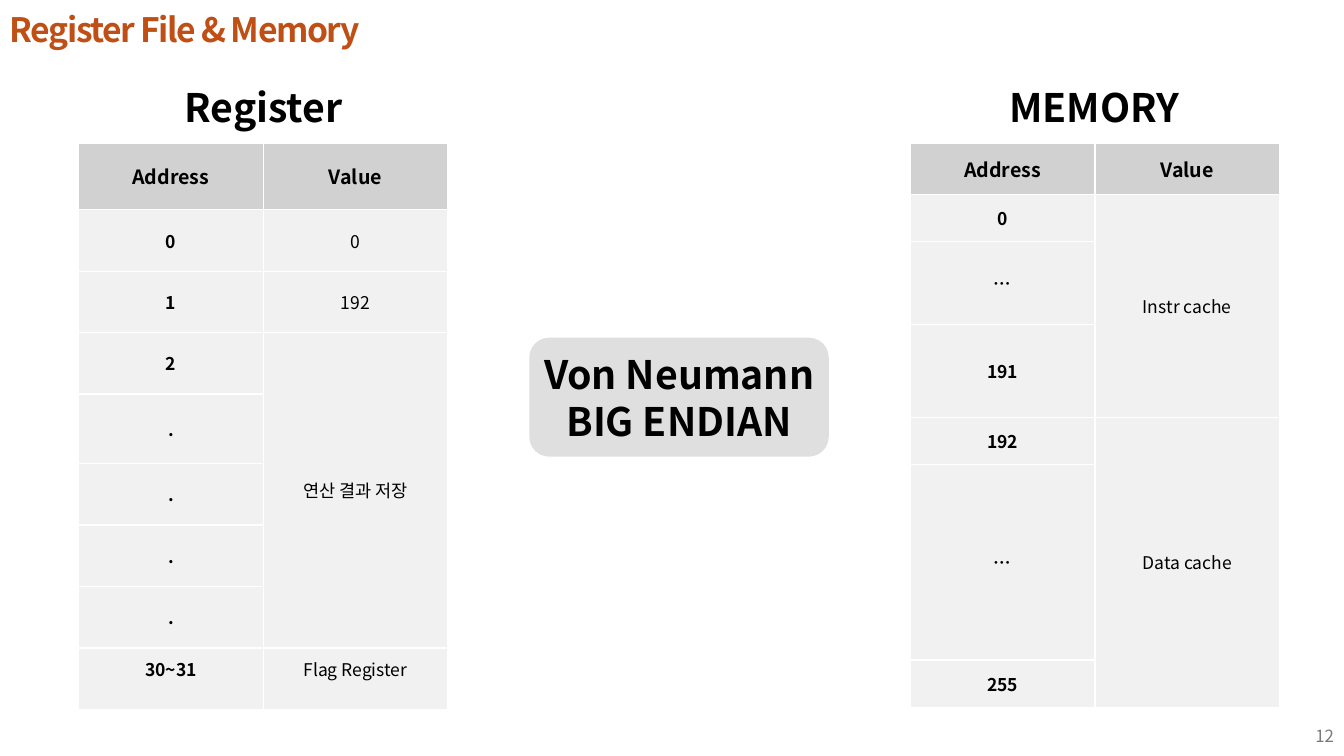
import pptx
import pptx.dml.color
import pptx.enum.shapes
import pptx.enum.text
import pptx.oxml.ns
import pptx.util
from lxml import etree

Inches = pptx.util.Inches
Pt = pptx.util.Pt
ALIGN = pptx.enum.text.PP_ALIGN
MIDDLE = pptx.enum.text.MSO_ANCHOR.MIDDLE
qn = pptx.oxml.ns.qn

FONT = "Noto Sans CJK KR"
COLORS = {
    "title": "C04F15",
    "text": "000000",
    "number": "797979",
    "header": "D1D1D1",
    "cell": "F1F1F1",
    "border": "FFFFFF",
}
TABLE_TOP = 1.42
COL_WIDTH = 1.83

# Each row: height, address, value (None continues the value cell above)
REGISTER_ROWS = [
    (0.66, "Address", "Value"),
    (0.61, "0", "0"),
    (0.61, "1", "192"),
    (0.61, "2", "연산 결과 저장"),
    (0.69, ".", None),
    (0.61, ".", None),
    (0.61, ".", None),
    (0.61, ".", None),
    (0.61, "30~31", "Flag Register"),
]
MEMORY_ROWS = [
    (0.51, "Address", "Value"),
    (0.47, "0", "Instr cache"),
    (0.82, "…", None),
    (0.92, "191", None),
    (0.47, "192", "Data cache"),
    (1.94, "…", None),
    (0.47, "255", None),
]


def rgb(name):
    return pptx.dml.color.RGBColor.from_string(COLORS[name])


def add_run(p, text, size, color="text", bold=True):
    r = p.add_run()
    r.text = text
    r.font.size = Pt(size)
    r.font.bold = bold
    r.font.name = FONT
    r.font.color.rgb = rgb(color)
    etree.SubElement(r.font._element, qn("a:ea"), typeface=FONT)
    return r


def add_text(shapes, box, lines, size, align=ALIGN.CENTER, color="text", bold=True):
    sp = shapes.add_textbox(*map(Inches, box))
    tf = sp.text_frame
    tf.word_wrap = True
    tf.vertical_anchor = MIDDLE
    for i, line in enumerate(lines):
        p = tf.add_paragraph() if i else tf.paragraphs[0]
        p.alignment = align
        add_run(p, line, size, color, bold)
    return sp


def add_heading(shapes, box, *lines):
    sp = add_text(shapes, box, lines, 28)
    for p in sp.text_frame.paragraphs:
        p.line_spacing = Pt(33.6)


def set_borders(cell):
    tcPr = cell._tc.get_or_add_tcPr()
    for side in ("a:lnL", "a:lnR", "a:lnT", "a:lnB"):
        ln = etree.SubElement(tcPr, qn(side), w=str(Pt(1)))
        fill = etree.SubElement(ln, qn("a:solidFill"))
        etree.SubElement(fill, qn("a:srgbClr"), val=COLORS["border"])


def style_cell(cell, text, header, bold):
    set_borders(cell)
    cell.fill.solid()
    cell.fill.fore_color.rgb = rgb("header" if header else "cell")
    cell.vertical_anchor = MIDDLE
    if text:
        p = cell.text_frame.paragraphs[0]
        p.alignment = ALIGN.CENTER
        add_run(p, text, 14 if header else 12.5, bold=bold)


def add_address_table(s, left, rows):
    height = sum(row[0] for row in rows)
    table = s.shapes.add_table(len(rows), 2, Inches(left), Inches(TABLE_TOP),
                               Inches(2 * COL_WIDTH), Inches(height)).table
    for col in table.columns:
        col.width = Inches(COL_WIDTH)
    for i, (row_height, address, value) in enumerate(rows):
        table.rows[i].height = Inches(row_height)
        style_cell(table.cell(i, 0), address, i == 0, True)
        style_cell(table.cell(i, 1), value, i == 0, i == 0)
    # Merge each value with the open cells below it
    starts = [i for i, row in enumerate(rows) if row[2]] + [len(rows)]
    for first, following in zip(starts, starts[1:]):
        if following - first > 1:
            table.cell(first, 1).merge(table.cell(following - 1, 1))
    return table


def add_architecture_badge(s):
    group = s.shapes.add_group_shape()
    sp = group.shapes.add_shape(pptx.enum.shapes.MSO_SHAPE.ROUNDED_RECTANGLE,
                                Inches(5.25), Inches(3.35), Inches(2.97), Inches(1.18))
    sp.shadow.inherit = False
    sp.line.fill.background()
    sp.fill.solid()
    sp.fill.fore_color.rgb = rgb("header")
    clr = sp._element.spPr.find(qn("a:solidFill"))[0]
    etree.SubElement(clr, qn("a:alpha"), val="69000")
    add_heading(group.shapes, (5.22, 3.42, 3.03, 1.04), "Von Neumann", "BIG ENDIAN")


def main():
    prs = pptx.Presentation()
    prs.slide_width, prs.slide_height = Inches(13.33), Inches(7.5)
    s = prs.slides.add_slide(prs.slide_layouts[6])

    # Title and page number
    title = add_text(s.shapes, (0, -0.41, 11.5, 1.45), ["Register File & Memory"],
                     24, ALIGN.LEFT, "title")
    p = title.text_frame.paragraphs[0]
    p.line_spacing = 0.9
    p.runs[0].font._element.set("spc", "-100")
    add_text(s.shapes, (10.33, 7.1, 3, 0.4), ["12"], 12, ALIGN.RIGHT, "number", False)

    # Register file
    add_heading(s.shapes, (1.1, 0.78, 3.03, 0.57), "Register")
    register = add_address_table(s, 0.78, REGISTER_ROWS)
    for col in range(2):  # the last row sits higher in its cells
        register.cell(len(REGISTER_ROWS) - 1, col).margin_bottom = Inches(0.25)

    # Architecture
    add_architecture_badge(s)

    # Memory
    add_heading(s.shapes, (9.34, 0.78, 3.03, 0.57), "MEMORY")
    add_address_table(s, 9.03, MEMORY_ROWS)

    prs.save("out.pptx")


if __name__ == "__main__":
    main()
